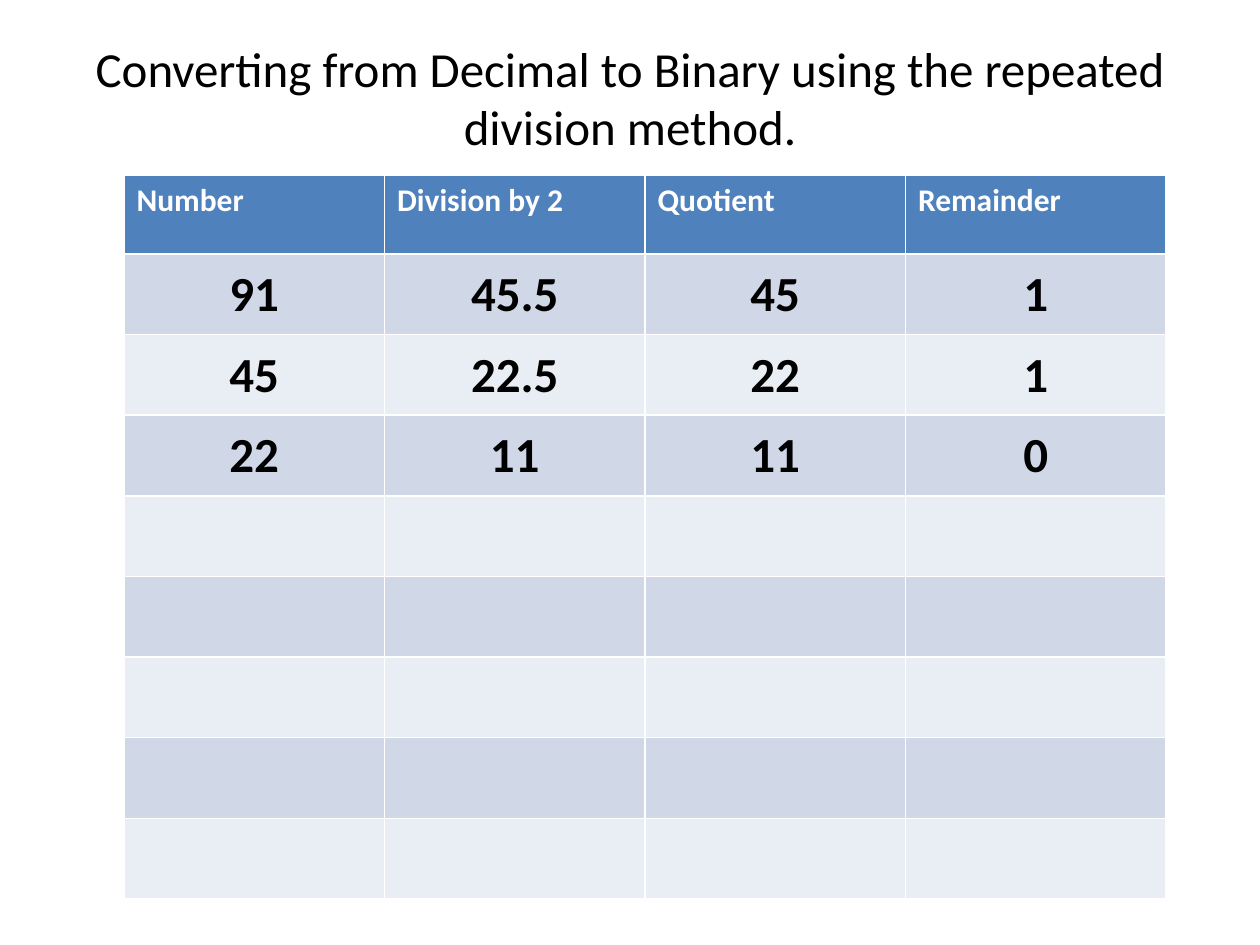
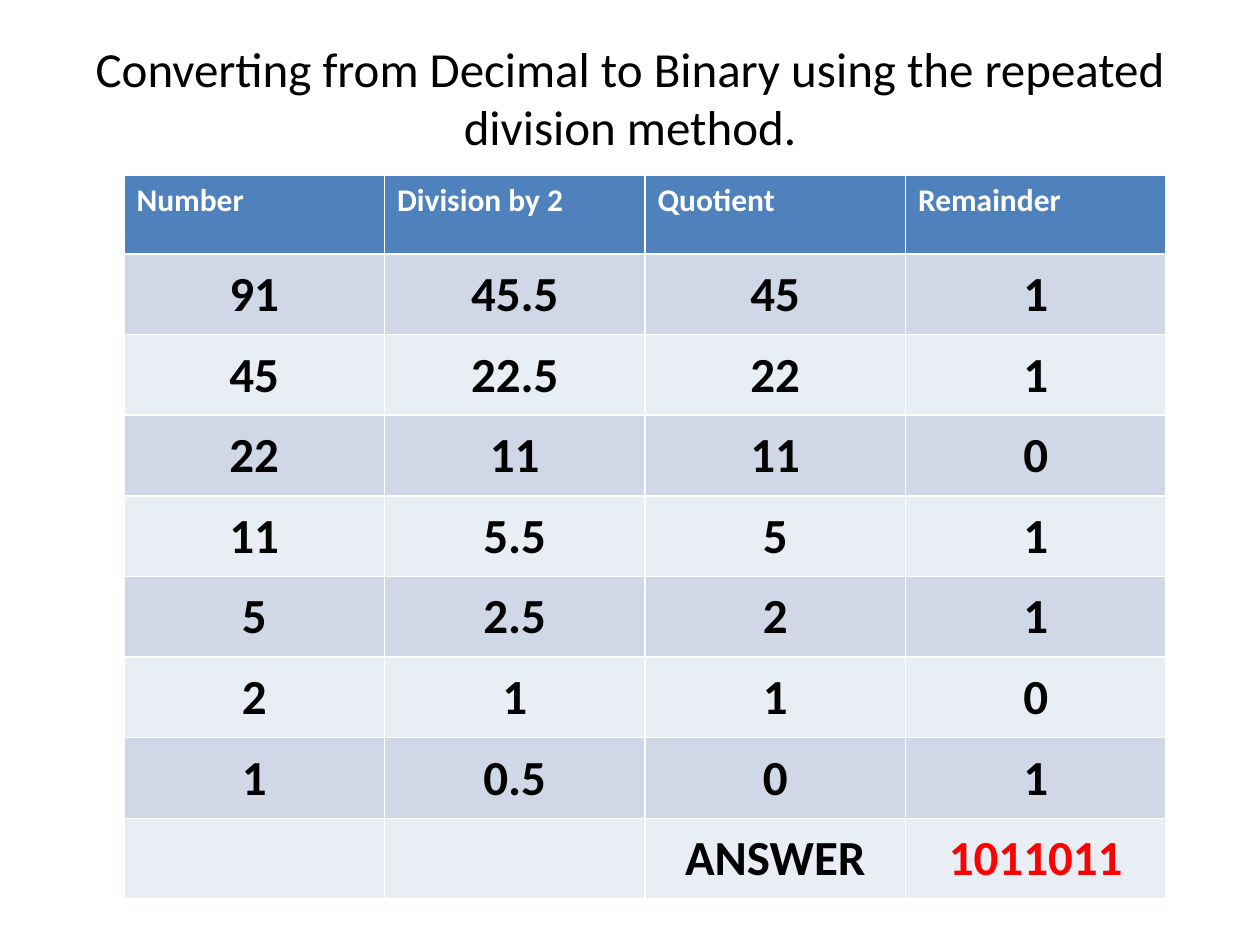
"""Build two slides that convert 91 to binary by repeated division."""
from pptx import Presentation, util as u
from pptx.dml.color import RGBColor
from pptx.enum import text

TITLE = "Converting from Decimal to Binary using the repeated division method."
HEADINGS = ("Number", "Division by 2", "Quotient", "Remainder")
STEPS = [
    ("91", "45.5", "45", "1"),
    ("45", "22.5", "22", "1"),
    ("22", "11", "11", "0"),
    ("11", "5.5", "5", "1"),
    ("5", "2.5", "2", "1"),
    ("2", "1", "1", "0"),
    ("1", "0.5", "0", "1"),
]
ANSWER = ("", "", "ANSWER", "1011011")
STAGES = [STEPS[:3], STEPS + [ANSWER]]

BODY_ROWS = len(STEPS) + 1
HEADING_FILL = "4F81BD"
BANDS = ("D0D8E8", "E9EDF4")
BLACK, WHITE, RED = "000000", "FFFFFF", "FF0000"

SLIDE_SIZE = (1260, 945)
TITLE_BOX = (63, 38, 1134, 58)
TABLE_BOX = (124, 175, 1042, 724)
HEADING_HEIGHT = 79

TITLE_FONT = {"name": "Calibri", "size": u.Pt(28), "bold": False}
HEADING_FONT = {"name": "Calibri", "size": u.Pt(18), "bold": True}
FIGURE_FONT = {"name": "Calibri", "size": u.Pt(28), "bold": True}


def px(length):
    return u.Emu(round(length * 914400 / 126))


def rgb(code):
    return RGBColor.from_string(code)


def assign(target, values):
    for key, value in values.items():
        setattr(target, key, value)


def style(paragraph, font, colour):
    assign(paragraph.font, font)
    paragraph.font.color.rgb = rgb(colour)


def add_title(slide):
    title = slide.shapes.title
    assign(title, dict(zip(("left", "top", "width", "height"), map(px, TITLE_BOX))))
    frame = title.text_frame
    frame.text = TITLE
    assign(frame, {"word_wrap": True, "auto_size": text.MSO_AUTO_SIZE.NONE,
                   "vertical_anchor": text.MSO_ANCHOR.TOP,
                   "margin_top": 0, "margin_bottom": 0})
    heading = frame.paragraphs[0]
    heading.alignment = text.PP_ALIGN.CENTER
    style(heading, TITLE_FONT, BLACK)


def fill_cell(cell, wording, colour):
    cell.fill.solid()
    cell.fill.fore_color.rgb = rgb(colour)
    cell.text = wording
    return cell.text_frame.paragraphs[0]


def add_figure(cell, wording, band):
    figure = fill_cell(cell, wording, band)
    if not wording:
        return
    assign(cell, {"vertical_anchor": text.MSO_ANCHOR.MIDDLE, "margin_left": px(1),
                  "margin_right": px(1), "margin_top": px(1), "margin_bottom": 0})
    figure.alignment = text.PP_ALIGN.CENTER
    style(figure, FIGURE_FONT, RED if wording == ANSWER[-1] else BLACK)


def add_division_table(slide, steps):
    columns = len(HEADINGS)
    table = slide.shapes.add_table(BODY_ROWS + 1, columns, *map(px, TABLE_BOX)).table
    width, height = TABLE_BOX[2:]
    for column in table.columns:
        column.width = px(width / columns)
    for row in table.rows:
        row.height = px((height - HEADING_HEIGHT) / BODY_ROWS)
    table.rows[0].height = px(HEADING_HEIGHT)

    for c, heading in enumerate(HEADINGS):
        style(fill_cell(table.cell(0, c), heading, HEADING_FILL), HEADING_FONT, WHITE)
    blanks = [("",) * columns] * (BODY_ROWS - len(steps))
    for r, step in enumerate(steps + blanks):
        for c, figure in enumerate(step):
            add_figure(table.cell(r + 1, c), figure, BANDS[r % 2])


def main():
    deck = Presentation()
    deck.slide_width, deck.slide_height = map(px, SLIDE_SIZE)
    for steps in STAGES:
        slide = deck.slides.add_slide(deck.slide_layouts[5])
        add_title(slide)
        add_division_table(slide, steps)
    deck.save("out.pptx")


if __name__ == "__main__":
    main()
